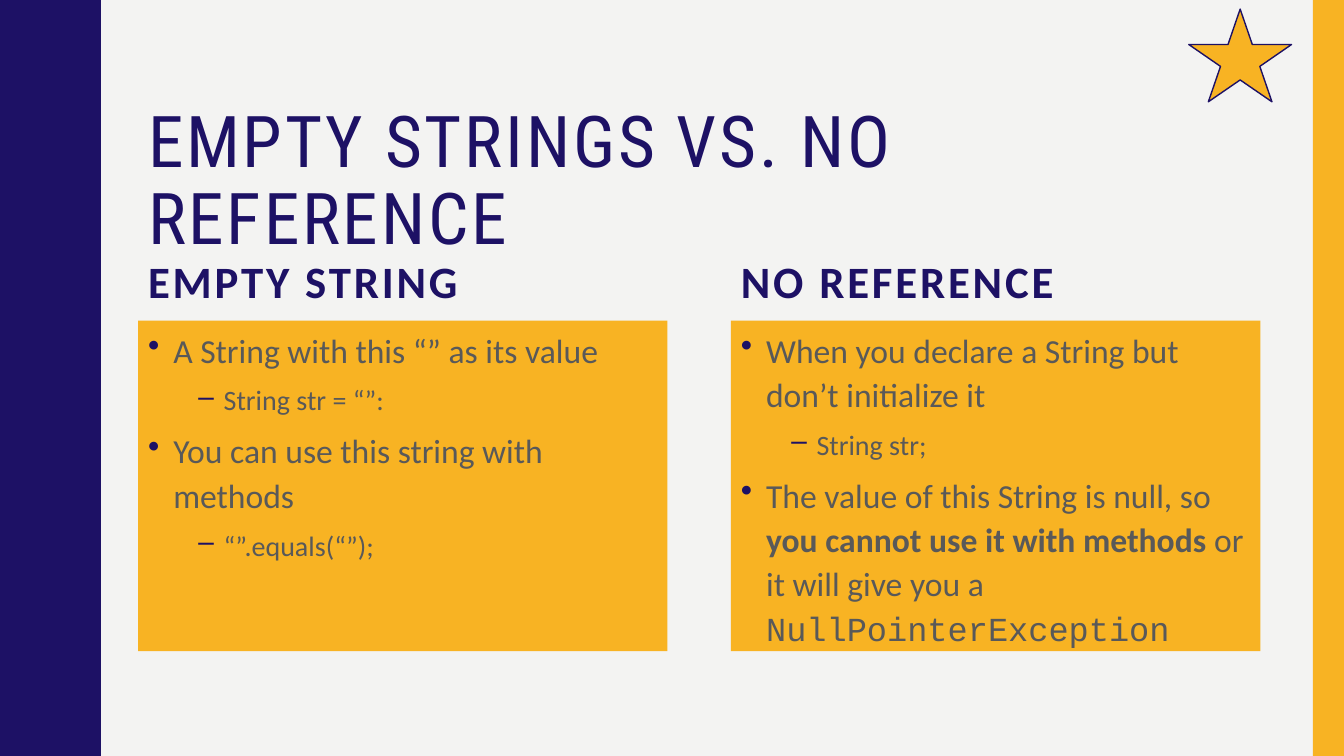
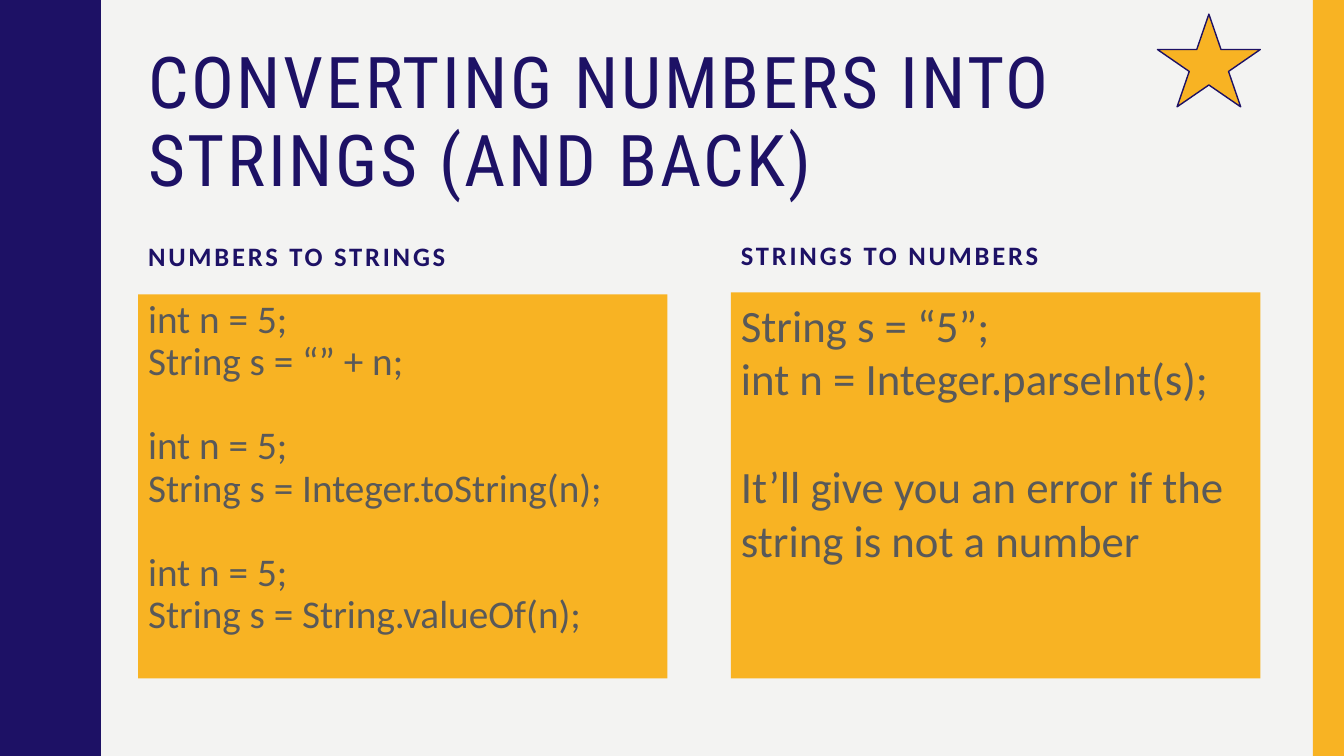
from lxml import etree
from pptx import Presentation
from pptx import util as u
from pptx.dml import color
from pptx.enum import shapes, text
from pptx.oxml import ns

COLORS = {"paper": "F3F3F2", "navy": "1D1165", "gold": "F8B323", "grey": "595959"}
COLUMNS = (1.37, 7.25)
COLUMN_WIDTH = 5.25
SLIDE_WIDTH, SLIDE_HEIGHT = 13.33, 7.5
HALF_WAVE = 0.75
WAVE = [
    (0.78, 0), (0.78, 0.07), (0.79, 0.14), (0.8, 0.2), (0.81, 0.25),
    (0.83, 0.29), (0.85, 0.33), (0.87, 0.38), (0.89, 0.42), (0.91, 0.46),
    (0.93, 0.5), (0.95, 0.55), (0.96, 0.61), (0.97, 0.68), (0.97, 0.75),
]
BULLETS = [("•", 0.25, 24), ("–", 0.75, 20)]


class Deck:
    """Holds the shared style and the slide being built."""

    def __init__(self):
        self.presentation = Presentation()
        self.presentation.slide_width = u.Inches(SLIDE_WIDTH)
        self.presentation.slide_height = u.Inches(SLIDE_HEIGHT)
        self.slide = None

    def rgb(self, name):
        return color.RGBColor.from_string(COLORS[name])

    def add_slide(self, title, title_top, title_height):
        self.slide = self.presentation.slides.add_slide(self.presentation.slide_layouts[6])
        background = self.slide.background.fill
        background.solid()
        background.fore_color.rgb = self.rgb("paper")
        self.wave()
        self.shape(shapes.MSO_SHAPE.RECTANGLE, 13.02, 0, 0.31, SLIDE_HEIGHT)
        frame = self.text_box(COLUMNS[0], title_top, 11.12, title_height)
        self.paragraph(frame, [(title, {})], 51, "navy", font="Roboto Condensed",
                       line_spacing=0.9, tracking=2)

    def paint(self, shape, fill, line=None):
        shape.shadow.inherit = False
        shape.fill.solid()
        shape.fill.fore_color.rgb = self.rgb(fill)
        if line:
            shape.line.color.rgb = self.rgb(line)
            shape.line.width = u.Pt(1)
        else:
            shape.line.fill.background()

    def wave(self):
        points = []
        for index in range(round(SLIDE_HEIGHT / HALF_WAVE)):
            start = index * HALF_WAVE
            if index % 2:
                points += [(x, start + HALF_WAVE - y) for x, y in reversed(WAVE)]
            else:
                points += [(x, start + y) for x, y in WAVE]
        points.append((0, SLIDE_HEIGHT))
        builder = self.slide.shapes.build_freeform(0, 0, scale=u.Inches(1))
        builder.add_line_segments(points, close=True)
        self.paint(builder.convert_to_shape(), "navy")

    def shape(self, kind, left, top, width, height, line=None):
        shape = self.slide.shapes.add_shape(
            kind, u.Inches(left), u.Inches(top), u.Inches(width), u.Inches(height))
        self.paint(shape, "gold", line)
        return shape

    def star(self, left, top):
        self.shape(shapes.MSO_SHAPE.STAR_5_POINT, left, top, 1.02, 0.92, line="navy")

    def text_box(self, left, top, width, height, anchor=text.MSO_ANCHOR.TOP):
        box = self.slide.shapes.add_textbox(
            u.Inches(left), u.Inches(top), u.Inches(width), u.Inches(height))
        box.text_frame.word_wrap = True
        box.text_frame.vertical_anchor = anchor
        return box.text_frame

    def paragraph(self, frame, runs, size, ink, font="Calibri", bold=False,
                  line_spacing=1.0, space_before=0, tracking=0):
        paragraph = frame.paragraphs[0]
        if paragraph.runs:
            paragraph = frame.add_paragraph()
        paragraph.alignment = text.PP_ALIGN.LEFT
        paragraph.line_spacing = line_spacing
        paragraph.space_before = u.Pt(space_before)
        for words, changes in runs:
            run = paragraph.add_run()
            run.text = words
            run.font.size = u.Pt(size)
            run.font.name = changes.get("font", font)
            run.font.bold = changes.get("bold", bold)
            run.font.color.rgb = self.rgb(ink)
            if tracking:
                run.font._element.set("spc", str(tracking * 100))
        return paragraph

    def heading(self, left, top, words, size):
        frame = self.text_box(left, top, COLUMN_WIDTH, 0.69, text.MSO_ANCHOR.BOTTOM)
        self.paragraph(frame, [(words, {})], size, "navy", bold=True,
                       space_before=7, tracking=2)

    def panel(self, left, top, height):
        frame = self.shape(shapes.MSO_SHAPE.RECTANGLE, left, top, COLUMN_WIDTH, height).text_frame
        frame.word_wrap = True
        frame.vertical_anchor = text.MSO_ANCHOR.TOP
        return frame

    def bullet_panel(self, left, top, height, items):
        frame = self.panel(left, top, height)
        for level, runs in items:
            mark, margin, size = BULLETS[level]
            paragraph = self.paragraph(frame, runs, size, "grey", line_spacing=1.1, space_before=7)
            paragraph.level = level
            properties = paragraph._p.get_or_add_pPr()
            properties.set("marL", str(u.Inches(margin)))
            properties.set("indent", str(u.Inches(-0.25)))
            bullet_color = etree.SubElement(properties, ns.qn("a:buClr"))
            etree.SubElement(bullet_color, ns.qn("a:srgbClr")).set("val", COLORS["navy"])
            etree.SubElement(properties, ns.qn("a:buChar")).set("char", mark)

    def code_panel(self, left, top, height, groups, size, line_spacing, gap):
        frame = self.panel(left, top, height)
        for group_index, lines in enumerate(groups):
            for line_index, line in enumerate(lines):
                starts_group = group_index > 0 and line_index == 0
                self.paragraph(frame, [(line, {})], size, "grey", line_spacing=line_spacing,
                               space_before=gap if starts_group else 0)


def main():
    deck = Deck()
    left, right = COLUMNS

    deck.add_slide("EMPTY STRINGS VS. NO REFERENCE", 1, 1.12)
    deck.heading(left, 2.41, "EMPTY STRING", 32)
    deck.bullet_panel(left, 3.18, 3.28, [
        (0, [("A String with this “” as its value", {})]),
        (1, [("String str = “”:", {})]),
        (0, [("You can use this string with methods", {})]),
        (1, [("“”.equals(“”);", {})]),
    ])
    deck.heading(right, 2.41, "NO REFERENCE", 32)
    deck.bullet_panel(right, 3.18, 3.28, [
        (0, [("When you declare a String but don’t initialize it", {})]),
        (1, [("String str;", {})]),
        (0, [("The value of this String is null, so ", {}),
             ("you cannot use it with methods ", {"bold": True}),
             ("or it will give you a ", {}),
             ("NullPointerException", {"font": "Courier New"})]),
    ])
    deck.star(11.79, 0.09)

    deck.add_slide("CONVERTING NUMBERS INTO STRINGS (AND BACK)", 0.42, 1.63)
    deck.heading(left, 2.06, "NUMBERS TO STRINGS", 19)
    conversions = ["“” + n", "Integer.toString(n)", "String.valueOf(n)"]
    deck.code_panel(left, 2.92, 3.81,
                    [["int n = 5;", f"String s = {value};"] for value in conversions],
                    size=28, line_spacing=0.9, gap=30)
    deck.heading(right, 2.05, "STRINGS TO NUMBERS", 19)
    deck.code_panel(right, 2.9, 3.83, [
        ["String s = “5”;", "int n = Integer.parseInt(s);"],
        ["It’ll give you an error if the string is not a number"],
    ], size=32, line_spacing=1.0, gap=38.5)
    deck.star(11.48, 0.14)

    deck.presentation.save("out.pptx")


if __name__ == "__main__":
    main()
